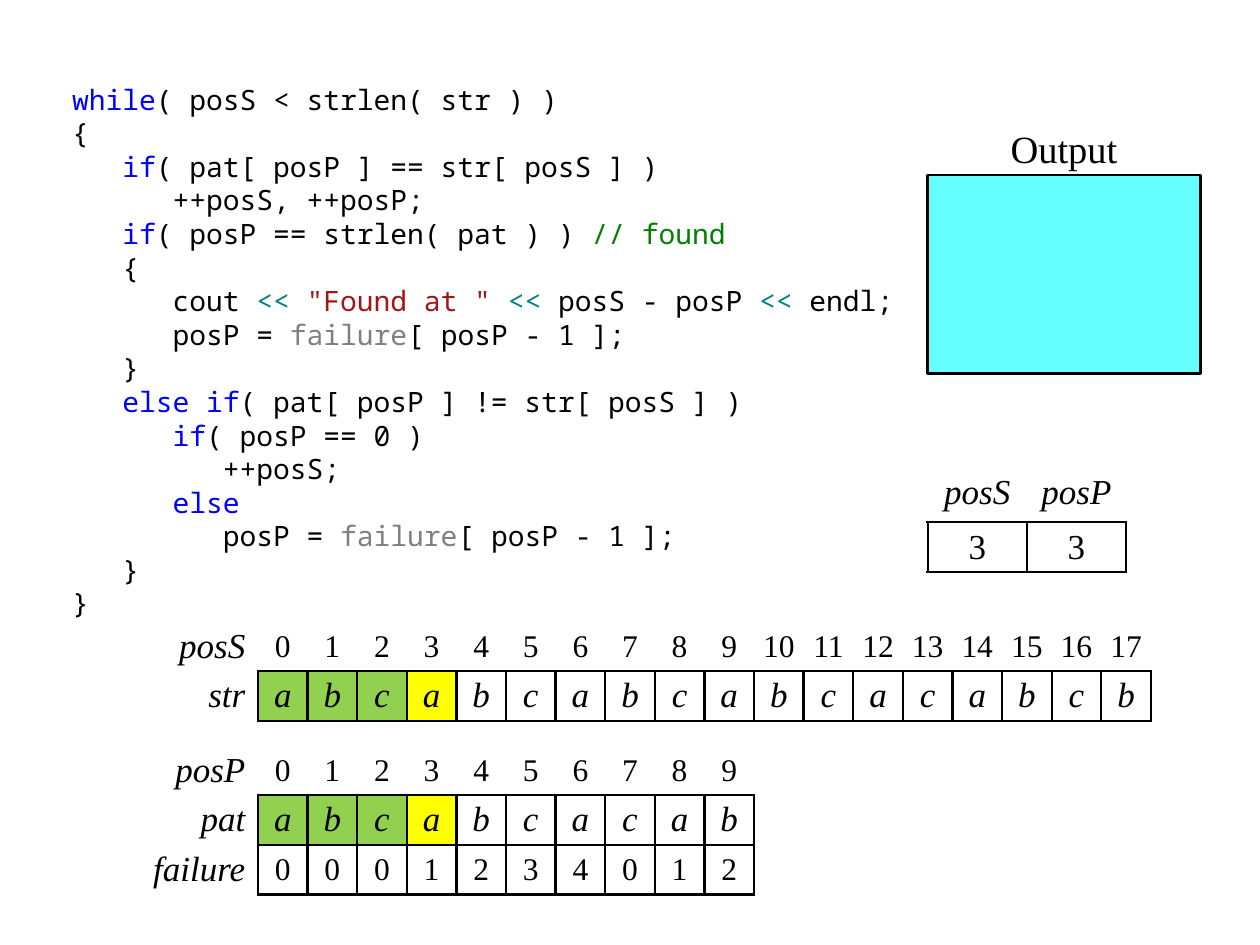
from lxml.etree import SubElement
from pptx import Presentation
from pptx.dml.color import RGBColor
from pptx.enum.shapes import MSO_SHAPE
from pptx.enum.text import MSO_ANCHOR, MSO_AUTO_SIZE, PP_ALIGN
from pptx.oxml.ns import qn
from pptx.util import Cm, Inches, Pt

NO_STYLE = "{2D5ABB26-0587-4C30-8999-92F81FD0307C}"
BLUE, TEAL, GRAY = "0000FF", "008080", "808080"
MATCHED, CURRENT = "92D050", "FFFF00"
SERIF = "Times New Roman"


def grid(col, row, cols, rows):
    """Box on a 1 cm grid whose origin is at (0.2 cm, 0.53 cm)."""
    return Cm(col + 0.2), Cm(row + 0.53), Cm(cols), Cm(rows)


def style(font, color="000000", **values):
    for name, value in values.items():
        setattr(font, name, value)
    font.color.rgb = RGBColor.from_string(color)


prs = Presentation()
prs.slide_width, prs.slide_height = Inches(10), Inches(7.5)
slide = prs.slides.add_slide(prs.slide_layouts[1])
title = slide.shapes.title
title.element.getparent().remove(title.element)

# Code listing: backticks enclose the coloured tokens
token_colors = {
    "while": BLUE, "if": BLUE, "else": BLUE, "else if": BLUE,
    "<< ": TEAL, "failure": GRAY, "// found": "008000", '"Found at " ': "A31515",
}
code_lines = """\
`while`( posS < strlen( str ) )
{
   `if`( pat[ posP ] == str[ posS ] )
      ++posS, ++posP;
   `if`( posP == strlen( pat ) ) `// found`
   {
      cout `<< ``"Found at " ``<< `posS - posP `<< `endl;
      posP = `failure`[ posP - 1 ];
   }
   `else if`( pat[ posP ] != str[ posS ] )
      `if`( posP == 0 )
         ++posS;
      `else`
         posP = `failure`[ posP - 1 ];
   }
}""".split("\n")

code = slide.placeholders[1]
code.left, code.top, code.width, code.height = grid(1, 1, 17, 11)
frame = code.text_frame
code_format = {
    "margin_left": Inches(0.1), "margin_right": Inches(0.04),
    "margin_top": Inches(0.05), "margin_bottom": Inches(0.05),
    "word_wrap": True, "auto_size": MSO_AUTO_SIZE.NONE,
    "vertical_anchor": MSO_ANCHOR.TOP,
}
for name, value in code_format.items():
    setattr(frame, name, value)

for number, line in enumerate(code_lines):
    paragraph = frame.add_paragraph() if number else frame.paragraphs[0]
    paragraph.space_before = paragraph.space_after = Pt(0)
    paragraph.line_spacing = Pt(19.2)
    properties = paragraph._p.get_or_add_pPr()
    properties.set("marL", "0")
    properties.set("indent", "0")
    SubElement(properties, qn("a:buNone"))
    for token in filter(None, line.split("`")):
        run = paragraph.add_run()
        run.text = token
        style(run.font, token_colors.get(token, "000000"),
              name="Noto Sans Mono", size=Pt(16))

# Tables: column, row, label width, cell width, side inset, digit size, rows
tables = [
    (3, 12, 2, 1, 0.04, 18,
     [["posS", *map(str, range(18))], ["str", *"abcabcabcabcacabcb"]]),
    (18.5, 9, 0, 2, 0.08, 20, [["posS", "posP"], ["3", "3"]]),
    (2.5, 14.5, 2.5, 1, 0.1, 18,
     [["posP", *map(str, range(10))], ["pat", *"abcabcacab"],
      ["failure", *"0001234012"]]),
]
highlights = {1: MATCHED, 2: MATCHED, 3: MATCHED, 4: CURRENT}

for left, top, label_width, cell_width, inset, digit_size, rows in tables:
    widths = [cell_width] * len(rows[0])
    if label_width:
        widths[0] = label_width
    table = slide.shapes.add_table(
        len(rows), len(widths), *grid(left, top, sum(widths), len(rows))).table
    table.first_row = table.horz_banding = False
    table._tbl.tblPr.find(qn("a:tableStyleId")).text = NO_STYLE
    for column, width in zip(table.columns, widths):
        column.width = Cm(width)
    for r, row in enumerate(rows):
        table.rows[r].height = Cm(1)
        for c, text in enumerate(row):
            cell = table.cell(r, c)
            is_label = c == 0 and label_width > 0
            is_counter_head = r == 0 and not label_width
            side = Inches(0.1 if is_label else 0 if is_counter_head else inset)
            cell.margin_left = cell.margin_right = side
            cell.margin_top = cell.margin_bottom = 0
            cell.vertical_anchor = (
                MSO_ANCHOR.TOP if is_counter_head else MSO_ANCHOR.MIDDLE)
            if r and not is_label:
                for edge in ("a:lnL", "a:lnR", "a:lnT", "a:lnB"):
                    border = SubElement(cell._tc.get_or_add_tcPr(), qn(edge),
                                        w=str(Pt(1.5)))
                    ink = SubElement(border, qn("a:solidFill"))
                    SubElement(ink, qn("a:srgbClr"), val="000000")
            if r == 1 and label_width and c in highlights:
                cell.fill.solid()
                cell.fill.fore_color.rgb = RGBColor.from_string(highlights[c])
            else:
                cell.fill.background()
            paragraph = cell.text_frame.paragraphs[0]
            paragraph.alignment = PP_ALIGN.RIGHT if is_label else PP_ALIGN.CENTER
            run = paragraph.add_run()
            run.text = text
            style(run.font, name=SERIF, italic=text.isalpha(),
                  size=Pt(20 if text.isalpha() else digit_size))

# Output panel
output = slide.shapes.add_shape(MSO_SHAPE.RECTANGLE, *grid(18.5, 3, 5.5, 4))
output.shadow.inherit = False
output.fill.solid()
output.fill.fore_color.rgb = RGBColor.from_string("66FFFF")
output.line.color.rgb = RGBColor.from_string("000000")
output.line.width = Pt(1.5)

caption = slide.shapes.add_textbox(*grid(19.5, 2, 3.5, 1)).text_frame
caption.word_wrap = True
caption.margin_top = 0
caption.margin_bottom = Inches(0.05)
caption.paragraphs[0].alignment = PP_ALIGN.CENTER
caption_run = caption.paragraphs[0].add_run()
caption_run.text = "Output"
style(caption_run.font, name=SERIF, size=Pt(22))

prs.save("out.pptx")
